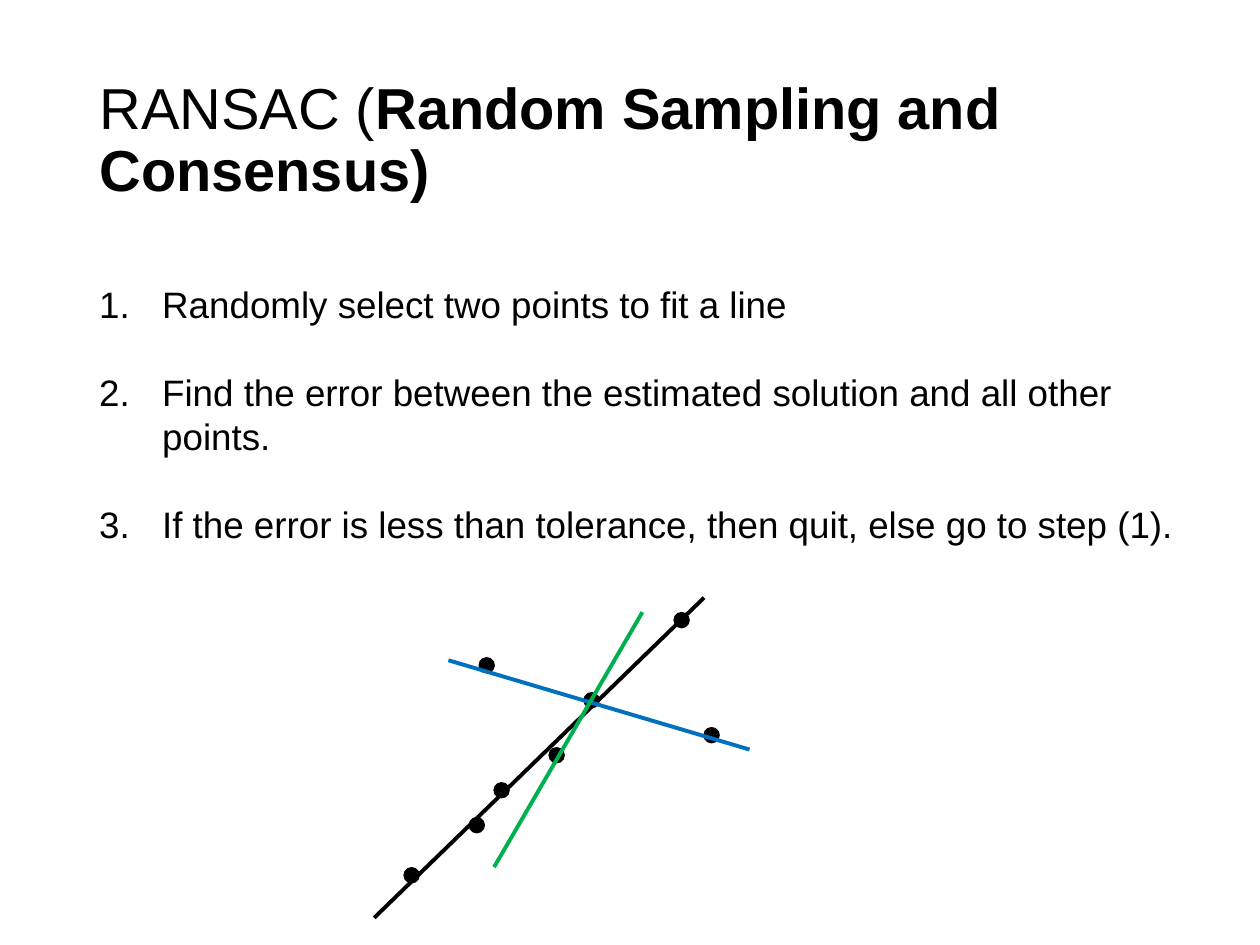
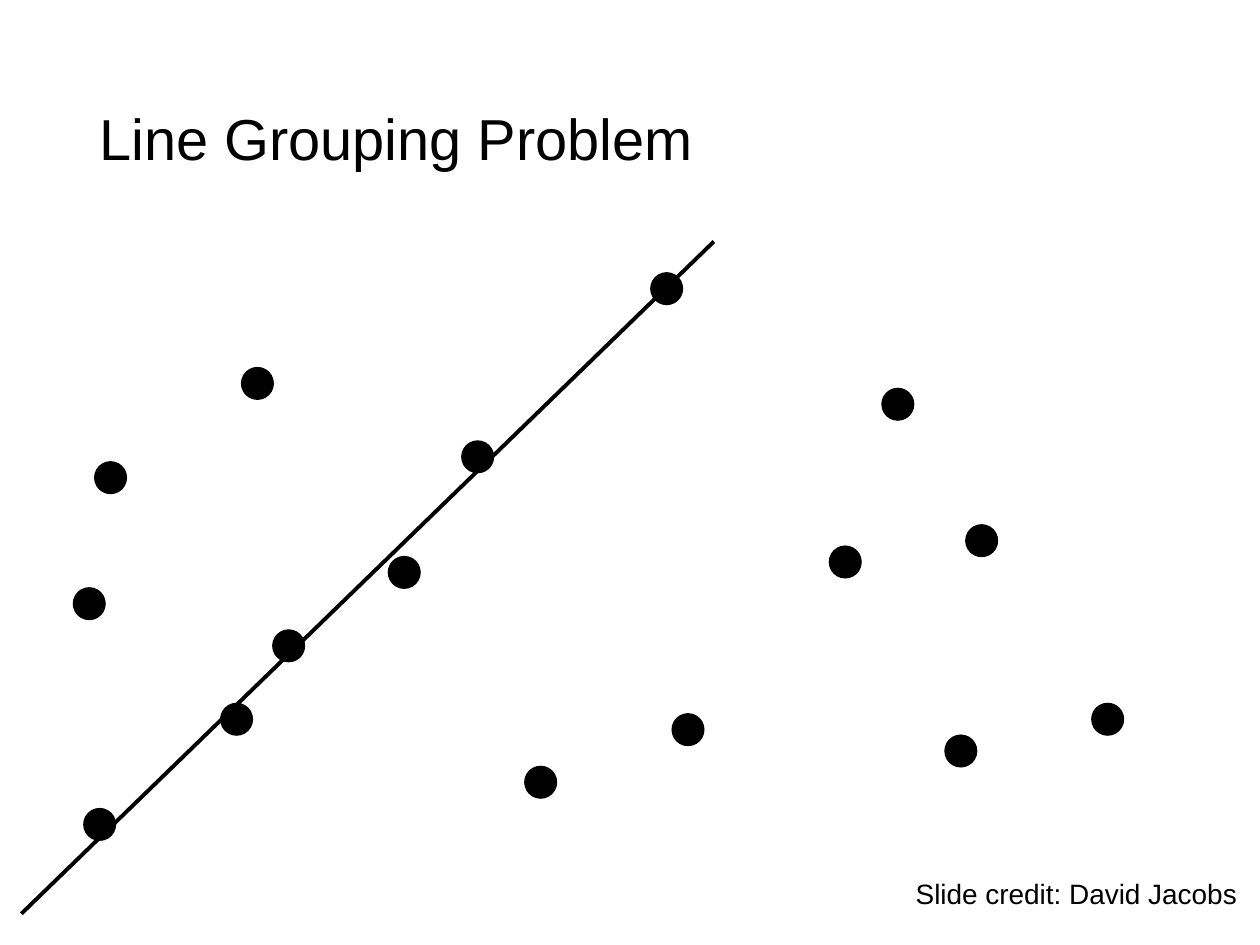
from pptx import Presentation
from pptx.dml.color import RGBColor as RGB
from pptx.enum.shapes import MSO_CONNECTOR as LINK, MSO_SHAPE as SHAPE
from pptx.enum.text import MSO_ANCHOR as ANCHOR, MSO_AUTO_SIZE as FIT, PP_ALIGN as ALIGN
from pptx.oxml.ns import qn
from pptx.util import Cm, Pt
from lxml.etree import SubElement as sub

BLACK = RGB(0x00, 0x00, 0x00)
BLUE = RGB(0x00, 0x70, 0xC0)
GREEN = RGB(0x00, 0xB0, 0x50)
FONT = "Arial"

# Top left corners of the dots, and the ends of the fitted line, in cm
INLIERS = [(5.5, 12.7), (7.83, 11.22), (9.31, 8.89),
           (13.12, 5.5), (4.45, 14.18), (1.69, 16.3)]
STRAYS = [(4.87, 7.41), (14.39, 10.37)]
CLUTTER = [(13.55, 14.39), (19.05, 14.82), (19.47, 10.58), (16.72, 11.01),
           (10.58, 15.45), (1.48, 11.85), (1.91, 9.31), (22.01, 14.18),
           (17.78, 7.83)]
FITTED = (0.43, 18.42), (14.39, 4.87)
DOT = 0.64

STEPS = ["Randomly select two points to fit a line",
         "Find the error between the estimated solution and all other points.",
         "If the error is less than tolerance, then quit, else go to step (1)."]


class Deck:
    def __init__(self):
        self.prs = Presentation()
        self.prs.slide_width, self.prs.slide_height = Cm(25.4), Cm(19.05)
        self.slide = None

    def run(self, para, text, size, bold=False):
        run = para.add_run()
        run.text = text
        font = run.font
        font.name, font.size, font.bold = FONT, Pt(size), bold
        font.color.rgb = BLACK

    def start(self, plain, *strong):
        """Add a slide whose title has a plain run, then bold lines."""
        self.slide = self.prs.slides.add_slide(self.prs.slide_layouts[5])
        title = self.slide.shapes.title
        title.left, title.top = Cm(1.75), Cm(1.02)
        title.width, title.height = Cm(21.89), Cm(3.68)
        frame = title.text_frame
        frame.auto_size = FIT.NONE
        frame.vertical_anchor = ANCHOR.MIDDLE
        para = frame.paragraphs[0]
        para.alignment, para.line_spacing = ALIGN.LEFT, 0.9
        self.run(para, plain, 33)
        for num, line in enumerate(strong):
            if num:
                para.add_line_break()
            self.run(para, line, 33, True)

    def box(self, left, top, width, height, wrap=True):
        box = self.slide.shapes.add_textbox(Cm(left), Cm(top), Cm(width), Cm(height))
        frame = box.text_frame
        frame.word_wrap = wrap
        frame.auto_size = FIT.SHAPE_TO_FIT_TEXT
        return frame

    def steps(self, items, *place):
        frame = self.box(*place)
        for num, item in enumerate(items):
            para = frame.add_paragraph() if num else frame.paragraphs[0]
            if num:
                para.space_before = Pt(25)
            props = para._p.get_or_add_pPr()
            props.set("marL", str(Cm(1.27)))
            props.set("indent", str(-Cm(1.27)))
            sub(props, qn("a:buFont"), typeface="+mj-lt")
            sub(props, qn("a:buAutoNum"), type="arabicPeriod")
            self.run(para, item, 21)

    def note(self, text, *place):
        frame = self.box(*place, wrap=False)
        self.run(frame.paragraphs[0], text, 16)

    def dot(self, left, top, size):
        dot = self.slide.shapes.add_shape(
            SHAPE.OVAL, Cm(left), Cm(top), Cm(size), Cm(size))
        dot.shadow.inherit = False
        dot.fill.solid()
        dot.fill.fore_color.rgb = BLACK
        dot.line.color.rgb = BLACK
        dot.line.width = Pt(0.75)

    def line(self, start, end, color=BLACK):
        line = self.slide.shapes.add_connector(
            LINK.STRAIGHT, *(Cm(val) for val in (*start, *end)))
        line.line.color.rgb = color
        line.line.width = Pt(2.25)
        sub(line._element.spPr, qn("a:effectLst"))

    def plot(self, dots, scale=1, left=0, top=0):
        """Draw the dots and the fitted line, scaled and then moved."""
        def place(spot):
            return left + spot[0] * scale, top + spot[1] * scale

        for spot in dots:
            self.dot(*place(spot), DOT * scale)
        self.line(*map(place, FITTED))


def main():
    deck = Deck()

    deck.start("RANSAC (", "Random Sampling and", "Consensus)")
    deck.steps(STEPS, 1.75, 5.56, 22.58, 5.64)
    deck.plot(INLIERS + STRAYS, 10 / 21, 7.34, 9.73)
    deck.line((9.04, 13.31), (15.11, 15.11), BLUE)
    deck.line((9.96, 17.48), (12.95, 12.34), GREEN)

    deck.start("Line Grouping Problem")
    deck.plot(INLIERS + STRAYS[:1] + CLUTTER)
    deck.note("Slide credit: David Jacobs", 18.21, 17.55, 7.01, 0.94)

    deck.prs.save("out.pptx")


if __name__ == "__main__":
    main()
